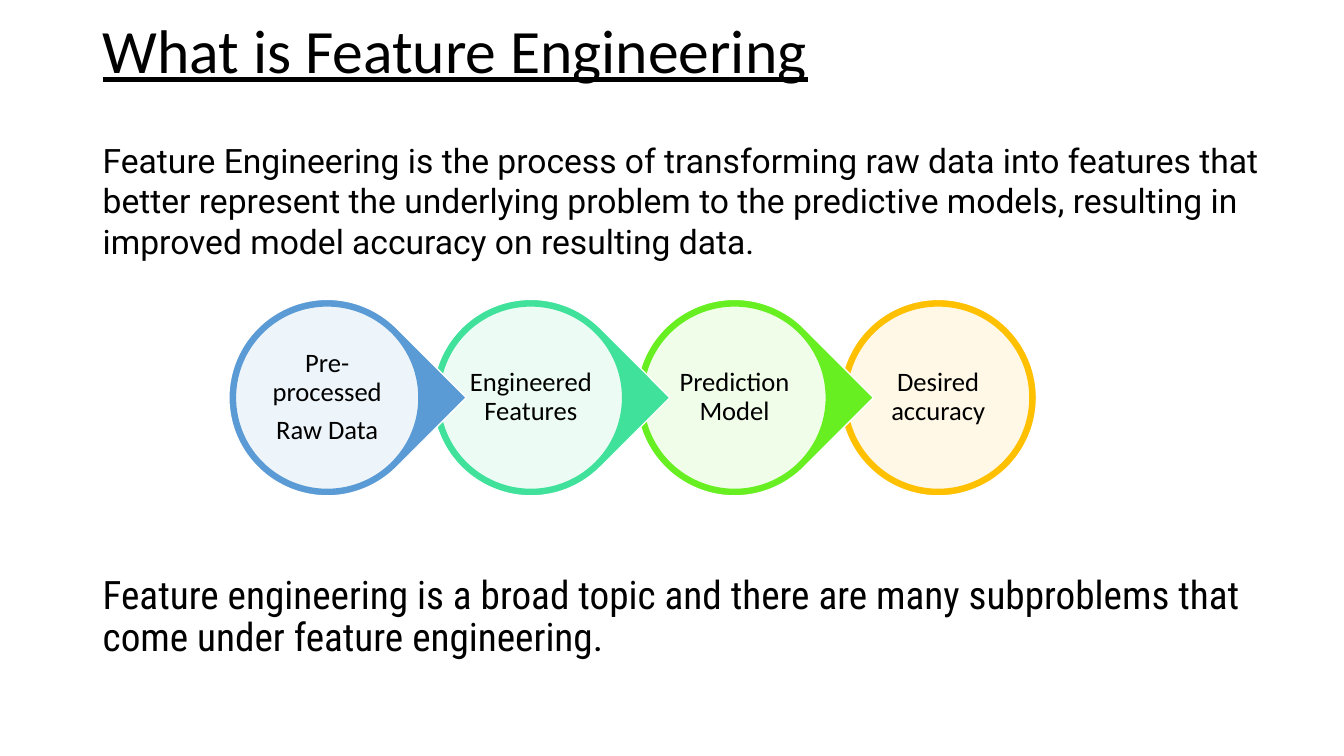
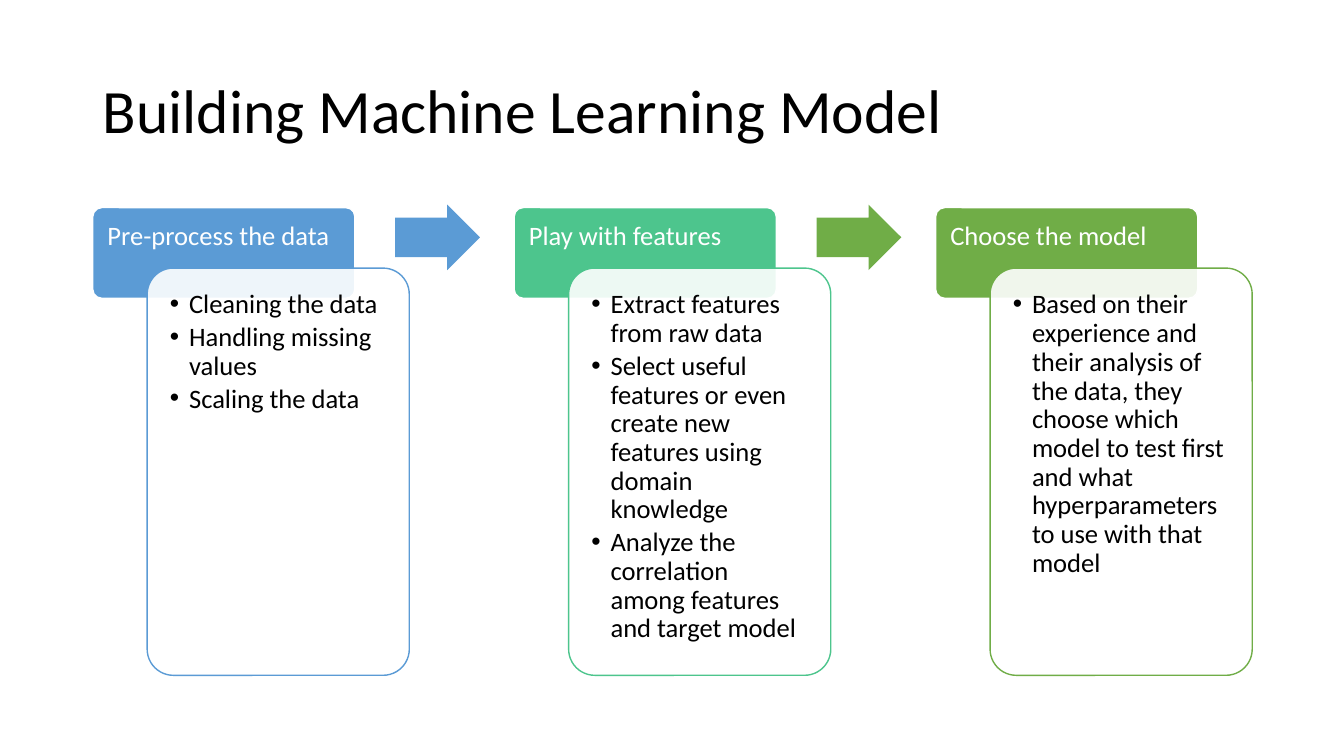
"""Build two slides on feature engineering and the steps of a machine learning model."""
from dataclasses import dataclass
from typing import Any, Optional, Sequence

from lxml import etree
from pptx import Presentation
from pptx.dml.color import RGBColor
from pptx.enum.shapes import MSO_SHAPE
from pptx.enum.text import MSO_ANCHOR, PP_ALIGN
from pptx.oxml.ns import qn
from pptx.util import Inches, Pt

BLACK = RGBColor(0x00, 0x00, 0x00)
WHITE = RGBColor(0xFF, 0xFF, 0xFF)
BLUE = RGBColor(0x5B, 0x9B, 0xD5)
MINT = RGBColor(0x3F, 0xE1, 0x9B)
LIME = RGBColor(0x67, 0xEF, 0x21)
GOLD = RGBColor(0xFF, 0xC0, 0x00)
JADE = RGBColor(0x4D, 0xC5, 0x8D)
GREEN = RGBColor(0x70, 0xAD, 0x47)

ELLIPSE = MSO_SHAPE.OVAL
TEARDROP = MSO_SHAPE.TEAR
ROUNDED = MSO_SHAPE.ROUNDED_RECTANGLE
ARROW = MSO_SHAPE.RIGHT_ARROW
TOP = MSO_ANCHOR.TOP
MIDDLE = MSO_ANCHOR.MIDDLE
LEFT = PP_ALIGN.LEFT
CENTER = PP_ALIGN.CENTER

TITLE_FONT = {"name": "Calibri", "size": Pt(44)}
LABEL_FONT = {"name": "Calibri", "size": Pt(19)}
INTRO_FONT = {"name": "Roboto", "size": Pt(24)}
CLOSING_FONT = {"name": "Roboto Condensed", "size": Pt(28)}
TIGHT = {"line_spacing": 0.9, "alignment": LEFT}
LABEL = TIGHT | {"space_after": Pt(6.65)}
CENTERED_LABEL = LABEL | {"alignment": CENTER}
BULLET = TIGHT | {"space_after": Pt(2.85)}
BULLET_INDENT = Inches(0.19)
TEXT_LEFT = 0.92
VEIL_OPACITY = 90


@dataclass(frozen=True)
class Box:
    """Position and size in inches."""

    left: float
    top: float
    width: float
    height: float

    def lengths(self) -> list[int]:
        """Return the four measures as lengths."""
        return [Inches(value) for value in (self.left, self.top, self.width, self.height)]


@dataclass(frozen=True)
class Stage:
    """One circle of the feature engineering chain."""

    lines: Sequence[str]
    color: RGBColor
    outline: Any = TEARDROP


@dataclass(frozen=True)
class Step:
    """One column of the model building process."""

    heading: str
    bullets: Sequence[str]
    color: RGBColor
    arrow_color: Optional[RGBColor] = None


STAGES = (
    Stage(("Pre-processed", "Raw Data"), BLUE),
    Stage(("Engineered Features",), MINT),
    Stage(("Prediction Model",), LIME),
    Stage(("Desired accuracy",), GOLD, ELLIPSE),
)
STEPS = (
    Step(
        "Pre-process the data",
        ("Cleaning the data", "Handling missing values", "Scaling the data"),
        BLUE,
        BLUE,
    ),
    Step(
        "Play with features",
        (
            "Extract features from raw data",
            "Select useful features or even create new features using domain knowledge",
            "Analyze the correlation among features and target model",
        ),
        JADE,
        GREEN,
    ),
    Step(
        "Choose the model",
        (
            "Based on their experience and their analysis of the data, they choose which "
            "model to test first and what hyperparameters to use with that model",
        ),
        GREEN,
    ),
)


def apply_format(target: Any, values: dict[str, Any]) -> None:
    """Set every named attribute on the target."""
    for name, value in values.items():
        setattr(target, name, value)


def add_bullet(paragraph: Any) -> None:
    """Give the paragraph a hanging round bullet."""
    properties = paragraph._p.get_or_add_pPr()
    properties.set("marL", str(BULLET_INDENT))
    properties.set("indent", str(-BULLET_INDENT))
    etree.SubElement(properties, qn("a:buFont")).set("typeface", "Arial")
    etree.SubElement(properties, qn("a:buChar")).set("char", "•")


def write_text(
    shape: Any,
    lines: Sequence[str],
    font: dict[str, Any],
    layout: dict[str, Any],
    color: RGBColor = BLACK,
    anchor: Any = TOP,
    margins: Sequence[float] = (0.1, 0.05, 0.1, 0.05),
    bulleted: bool = False,
) -> None:
    """Write one formatted paragraph for each line."""
    frame = shape.text_frame
    sides = ("margin_left", "margin_top", "margin_right", "margin_bottom")
    insets = {side: Inches(margin) for side, margin in zip(sides, margins)}
    apply_format(frame, {"word_wrap": True, "vertical_anchor": anchor} | insets)
    for index, line in enumerate(lines):
        paragraph = frame.add_paragraph() if index else frame.paragraphs[0]
        apply_format(paragraph, layout)
        run = paragraph.add_run()
        run.text = line
        apply_format(run.font, font)
        run.font.color.rgb = color
        if bulleted:
            add_bullet(paragraph)


def add_text(slide: Any, box: Box, text: str, font: dict[str, Any], layout: dict[str, Any], anchor: Any = TOP) -> None:
    """Add a text box with a single paragraph."""
    write_text(slide.shapes.add_textbox(*box.lengths()), (text,), font, layout, anchor=anchor)


def add_title(slide: Any, text: str, top: float, height: float, underline: bool = False) -> None:
    """Add the slide title."""
    font = TITLE_FONT | {"underline": underline}
    add_text(slide, Box(TEXT_LEFT, top, 11.5, height), text, font, TIGHT, MIDDLE)


def add_filled(
    slide: Any,
    kind: Any,
    box: Box,
    fill: RGBColor,
    line: Optional[RGBColor] = None,
    adjustments: Sequence[float] = (),
    opacity: int = 100,
) -> Any:
    """Add a flat preset shape and return it."""
    shape = slide.shapes.add_shape(kind, *box.lengths())
    shape.shadow.inherit = False
    shape.fill.solid()
    shape.fill.fore_color.rgb = fill
    if opacity < 100:
        color = shape.fill._xPr.find(qn("a:solidFill"))[0]
        etree.SubElement(color, qn("a:alpha")).set("val", str(opacity * 1000))
    if line is None:
        shape.line.fill.background()
    else:
        shape.line.color.rgb = line
        shape.line.width = Pt(1)
    for index, value in enumerate(adjustments):
        shape.adjustments[index] = value
    return shape


def add_stage(slide: Any, stage: Stage, left: float) -> None:
    """Draw a coloured ring with a pale labelled disc."""
    top, size, rim = 2.97, 1.95, 0.065
    ring = add_filled(slide, stage.outline, Box(left, top, size, size), stage.color, WHITE)
    if stage.outline == TEARDROP:
        ring.rotation = 45
    disc_size = size - 2 * rim
    disc_box = Box(left + rim, top + rim, disc_size, disc_size)
    disc = add_filled(slide, ELLIPSE, disc_box, WHITE, stage.color, opacity=VEIL_OPACITY)
    write_text(disc, stage.lines, LABEL_FONT, CENTERED_LABEL, anchor=MIDDLE, margins=(0.02,) * 4)


def add_step(slide: Any, step: Step, left: float) -> None:
    """Draw a heading, its overlapping bullet panel and the arrow to the next step."""
    width = 2.6
    header = add_filled(slide, ROUNDED, Box(left, 2.06, width, 0.9), step.color, WHITE, (0.1,))
    write_text(header, (step.heading,), LABEL_FONT, LABEL, WHITE, margins=(0.12, 0.12, 0.12, 0.08))
    panel_box = Box(left + 0.54, 2.66, width, 4.04)
    panel = add_filled(slide, ROUNDED, panel_box, WHITE, step.color, (0.1,), VEIL_OPACITY)
    write_text(panel, step.bullets, LABEL_FONT, BULLET, margins=(0.15,) * 4, bulleted=True)
    if step.arrow_color is not None:
        arrow_box = Box(left + 3, 2.03, 0.84, 0.65)
        add_filled(slide, ARROW, arrow_box, step.arrow_color, adjustments=(0.6, 0.5))


def build_definition_slide(slide: Any) -> None:
    """Define feature engineering around the chain of stages."""
    add_title(slide, "What is Feature Engineering", 0, 1.06, underline=True)
    add_text(
        slide,
        Box(TEXT_LEFT, 1.34, 11.92, 1.31),
        "Feature Engineering is the process of transforming raw data into features that better "
        "represent the underlying problem to the predictive models, resulting in improved model "
        "accuracy on resulting data.",
        INTRO_FONT,
        {"alignment": LEFT},
    )
    for index, stage in reversed(list(enumerate(STAGES))):
        add_stage(slide, stage, 2.27 + 2.02 * index)
    add_text(
        slide,
        Box(TEXT_LEFT, 5.66, 11.92, 1.37),
        "Feature engineering is a broad topic and there are many subproblems that come under "
        "feature engineering.",
        CLOSING_FONT,
        TIGHT | {"space_before": Pt(10)},
    )


def build_process_slide(slide: Any) -> None:
    """Show the steps of building a model."""
    add_title(slide, "Building Machine Learning Model", 0.4, 1.45)
    for index, step in enumerate(STEPS):
        add_step(slide, step, TEXT_LEFT + 4.18 * index)


def main() -> None:
    """Create and save the presentation."""
    presentation = Presentation()
    presentation.slide_width = Inches(13.33)
    presentation.slide_height = Inches(7.5)
    blank_layout = presentation.slide_layouts[6]
    for build in (build_definition_slide, build_process_slide):
        build(presentation.slides.add_slide(blank_layout))
    presentation.save("out.pptx")


if __name__ == "__main__":
    main()
